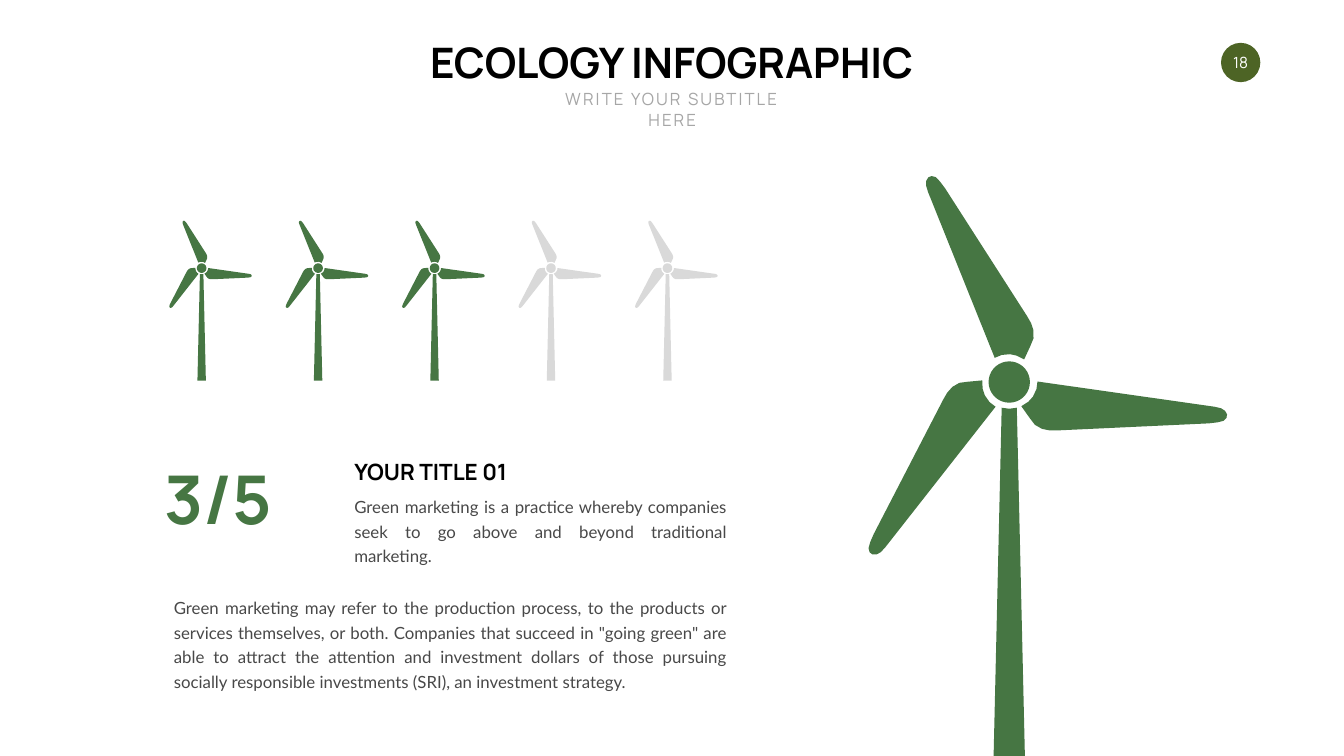
import math

from pptx import Presentation
from pptx.dml.color import RGBColor
from pptx.enum import shapes, text
from pptx.util import Inches, Pt

COLORS = {
    "green": "467643",
    "olive": "4D6425",
    "pale": "D9D9D9",
    "black": "000000",
    "gray": "A6A6A6",
    "body": "484848",
    "white": "FFFFFF",
}
BLADE = [
    (0.56, -0.01), (4.07, 0.49), (4.2, 0.52), (4.28, 0.57), (4.32, 0.64),
    (4.31, 0.71), (4.25, 0.77), (4.13, 0.8), (3.96, 0.82), (0.96, 0.96),
    (0.8, 0.96), (0.65, 0.93), (0.51, 0.85), (0.41, 0.72), (0.24, 0.48),
    (0.38, 0.39), (0.47, 0.29), (0.54, 0.14),
]
LEFT, CENTER, JUST = text.PP_ALIGN.LEFT, text.PP_ALIGN.CENTER, text.PP_ALIGN.JUSTIFY
TOP, MIDDLE = text.MSO_ANCHOR.TOP, text.MSO_ANCHOR.MIDDLE


def rgb(name):
    return RGBColor.from_string(COLORS[name])


def paint(shape, color):
    shape.shadow.inherit = False
    shape.fill.solid()
    shape.fill.fore_color.rgb = rgb(color)
    shape.line.fill.background()


def place(shape, left, top, width, height):
    shape.left, shape.top = Inches(left), Inches(top)
    shape.width, shape.height = Inches(width), Inches(height)


def write(shape, words, size, color, font="Manrope", bold=False, align=LEFT,
          anchor=TOP, wrap=True, pitch=None, track=None):
    frame = shape.text_frame
    frame.word_wrap = wrap
    frame.auto_size = text.MSO_AUTO_SIZE.NONE
    frame.vertical_anchor = anchor
    para = frame.paragraphs[0]
    para.alignment = align
    if pitch:
        para.line_spacing = Pt(pitch)
    run = para.add_run()
    run.text = words
    run.font.name, run.font.size, run.font.bold = font, Pt(size), bold
    run.font.color.rgb = rgb(color)
    if track:
        run.font._element.set("spc", str(track * 100))


def label(slide, box, words, size, color, **style):
    shape = slide.shapes.add_textbox(*map(Inches, box))
    write(shape, words, size, color, **style)


def badge(slide, box, words):
    shape = slide.shapes.add_shape(shapes.MSO_SHAPE.OVAL, *map(Inches, box))
    paint(shape, "olive")
    frame = shape.text_frame
    frame.margin_left = frame.margin_right = Inches(0.05)
    write(shape, words, 22, "white", align=CENTER, anchor=MIDDLE)


def spin(points, angle):
    cos, sin = math.cos(math.radians(angle)), math.sin(math.radians(angle))
    return [(x * cos - y * sin, x * sin + y * cos) for x, y in points]


def turbine(slide, left, top, scale, drop, color):
    foot = 0.15 + 0.0232 * (drop - 0.51)
    tower = [(-0.15, 0.51), (0, 0.53), (0.15, 0.51), (foot, drop), (-foot, drop)]
    hub = [spin([(0.41, 0)], step * 10)[0] for step in range(36)]
    parts = [spin(BLADE, angle) for angle in (0, 120, 240)] + [hub, tower]
    build = None
    for part in parts:
        dots = [(Inches(left + x * scale), Inches(top + y * scale)) for x, y in part]
        if build is None:
            build = slide.shapes.build_freeform(*dots[0])
        else:
            build.move_to(*dots[0])
        build.add_line_segments(dots[1:], close=True)
    paint(build.convert_to_shape(), color)


def main():
    deck = Presentation()
    deck.slide_width, deck.slide_height = Inches(26.66), Inches(15)
    slide = deck.slides.add_slide(deck.slide_layouts[5])

    title = slide.shapes.title
    place(title, 8.2, 0.67, 10.25, 1.11)
    write(title, "ECOLOGY INFOGRAPHIC", 60, "black", bold=True, align=CENTER, wrap=False)
    label(slide, (10.62, 1.72, 5.43, 0.5), "WRITE YOUR SUBTITLE HERE", 24, "gray",
          align=CENTER, track=3)
    badge(slide, (24.22, 0.85, 0.78, 0.78), "18")

    turbine(slide, 20.02, 7.58, 1, 7.42, "green")
    for index in range(5):
        color = "green" if index < 3 else "pale"
        turbine(slide, 4 + 2.31 * index, 5.32, 0.23, 9.7, color)

    label(slide, (3.16, 9.03, 2.5, 1.72), "3/5", 96, "green", bold=True, wrap=False)
    label(slide, (6.93, 9.03, 3.23, 0.64), "YOUR TITLE 01", 32, "black", bold=True,
          anchor=MIDDLE, wrap=False)
    body = dict(font="Lato", align=JUST, pitch=35)
    label(slide, (6.93, 9.72, 7.58, 1.03),
          "Green marketing is a practice whereby companies seek to go above and "
          "beyond traditional marketing.", 24, "body", **body)
    label(slide, (3.35, 11.73, 11.16, 2.01),
          "Green marketing may refer to the production process, to the products or "
          "services themselves, or both. Companies that succeed in \"going green\" are "
          "able to attract the attention and investment dollars of those pursuing "
          "socially responsible investments (SRI), an investment strategy.",
          24, "body", **body)
    deck.save("out.pptx")


if __name__ == "__main__":
    main()
